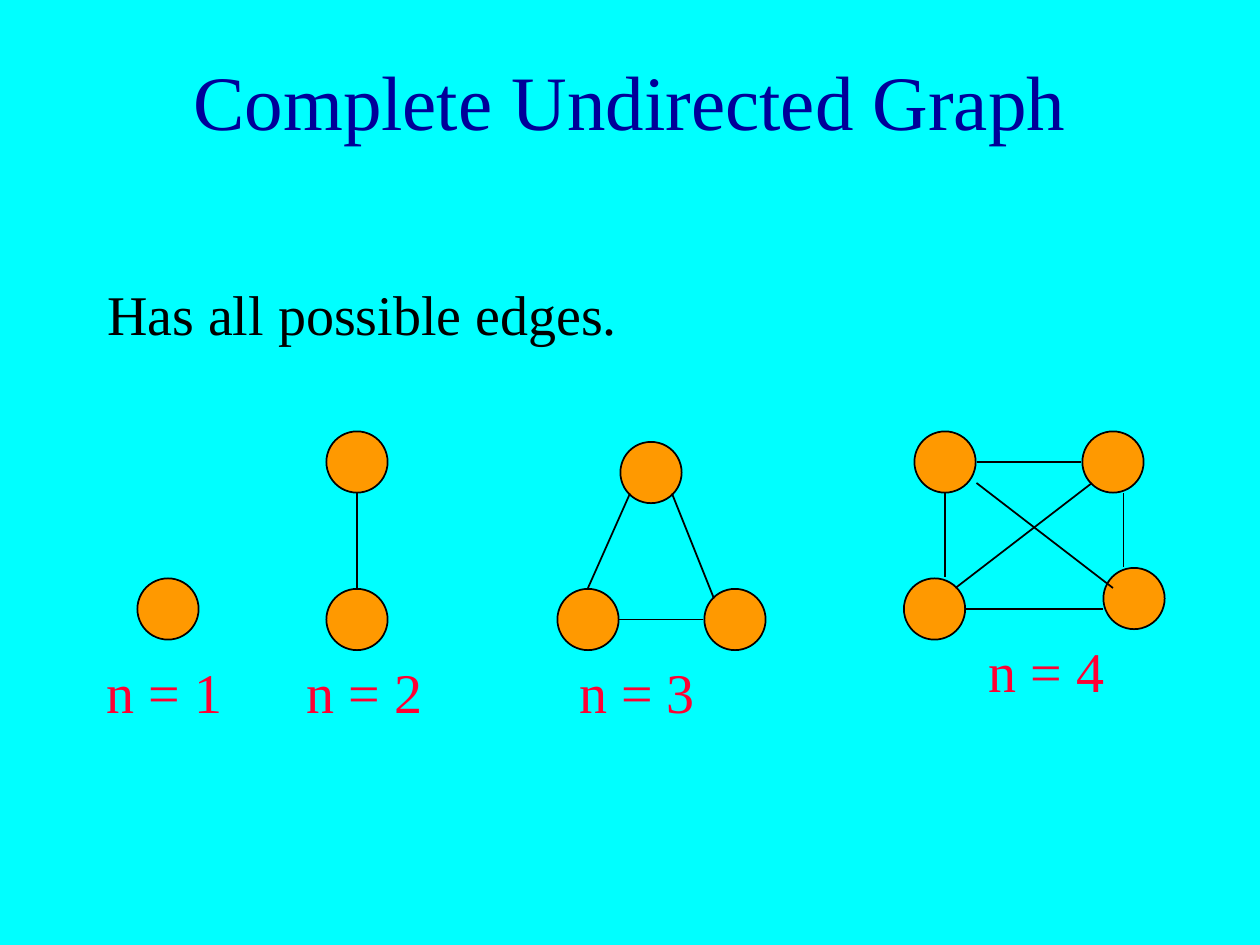
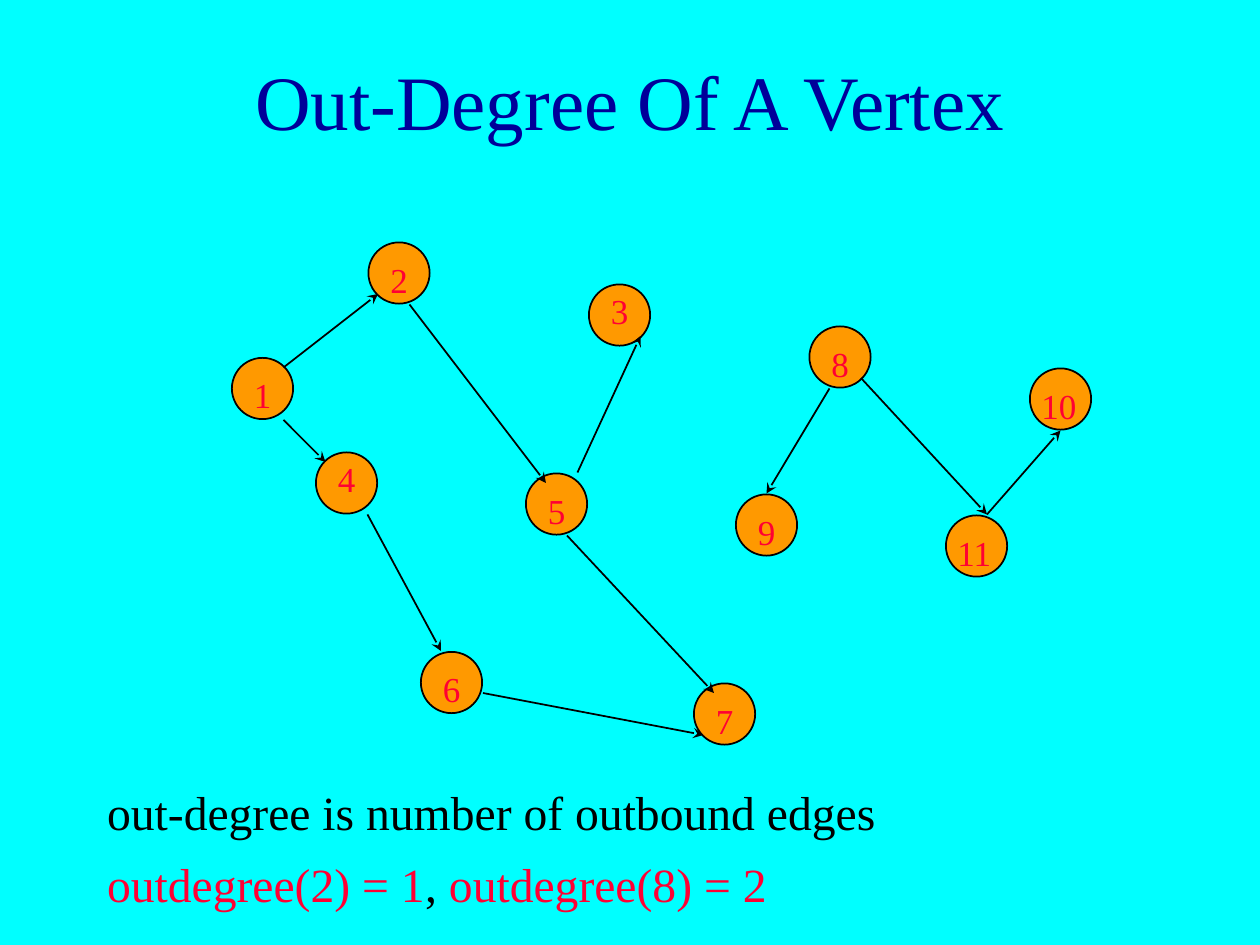
from lxml.etree import SubElement
from pptx import Presentation
from pptx.dml.color import RGBColor
from pptx.enum.shapes import MSO_CONNECTOR, MSO_SHAPE
from pptx.enum.text import MSO_ANCHOR, MSO_AUTO_SIZE, PP_ALIGN
from pptx.oxml.ns import qn
from pptx.util import Pt

CYAN = RGBColor(0x00, 0xFF, 0xFF)
NAVY = RGBColor(0x00, 0x00, 0x99)
BLACK = RGBColor(0x00, 0x00, 0x00)
RED = RGBColor(0xFF, 0x00, 0x33)
ORANGE = RGBColor(0xFF, 0x99, 0x00)
FACE = "Times New Roman"
CELL = 36
INSET = 0.5
TITLE_BOX = (54, 12, 612, 90)

FAMILY = [
    (54, [(24, 84)], [], "n = 1", (0, 126)),
    (168, [(18, 90), (18, 0)], [(36, 36, 36, 90)], "n = 2", (0, 126)),
    (318, [(36, 6), (0, 90), (84, 90)],
     [(66, 36, 90, 96), (42, 36, 18, 90), (36, 108, 84, 108)],
     "n = 3", (6, 126)),
    (516, [(6, 0), (102, 0), (114, 78), (0, 84)],
     [(42, 18, 102, 18), (126, 36, 126, 78), (24, 36, 24, 84),
      (36, 102, 114, 102), (42, 30, 120, 90), (108, 30, 30, 90)],
     "n = 4", (42, 114)),
]

NODES = {
    1: (0, 66), 2: (78, 0), 3: (204, 24), 4: (48, 120), 5: (168, 132),
    6: (108, 234), 7: (264, 252), 8: (330, 48), 9: (288, 144),
    10: (456, 72), 11: (408, 156),
}
ARROWS = [
    (30, 72, 84, 30), (102, 36, 180, 138), (30, 102, 54, 126),
    (78, 156, 120, 234), (144, 258, 270, 282), (198, 132, 234, 54),
    (192, 168, 276, 258), (342, 84, 306, 144), (360, 78, 432, 156),
    (432, 156, 474, 108),
]
RAISED = (3, 4)


def set_font(font, size, color):
    font.name = FACE
    font.size = Pt(size)
    font.color.rgb = color


def place(shape, box):
    shape.left, shape.top, shape.width, shape.height = map(Pt, box)


def add_title(slide, text, box):
    title = slide.shapes.title
    place(title, box)
    frame = title.text_frame
    frame.text = text
    frame.auto_size = MSO_AUTO_SIZE.NONE
    frame.vertical_anchor = MSO_ANCHOR.MIDDLE
    para = frame.paragraphs[0]
    para.alignment = PP_ALIGN.CENTER
    set_font(para.font, 44, NAVY)


def add_body(slide, lines, size, box):
    body = slide.placeholders[1]
    place(body, box)
    frame = body.text_frame
    frame.auto_size = MSO_AUTO_SIZE.NONE
    for i, parts in enumerate(lines):
        para = frame.add_paragraph() if i else frame.paragraphs[0]
        props = para._p.get_or_add_pPr()
        props.set("marL", str(Pt(27)))
        props.set("indent", str(Pt(-27)))
        SubElement(props, qn("a:buNone"))
        para.space_before = Pt(8 if i else 0)
        set_font(para.font, size, BLACK)
        for text, color in parts:
            run = para.add_run()
            run.text = text
            if color != BLACK:
                run.font.color.rgb = color


def add_node(shapes, x, y):
    side = CELL - 2 * INSET
    node = shapes.add_shape(MSO_SHAPE.OVAL, Pt(x + INSET), Pt(y + INSET),
                            Pt(side), Pt(side))
    node.shadow.inherit = False
    node.fill.solid()
    node.fill.fore_color.rgb = ORANGE
    node.line.color.rgb = BLACK
    node.line.width = Pt(1)


def add_edge(shapes, ends, arrow):
    edge = shapes.add_connector(MSO_CONNECTOR.STRAIGHT, *map(Pt, ends))
    edge.line.color.rgb = BLACK
    edge.line.width = Pt(1)
    if arrow:
        SubElement(edge.line._get_or_add_ln(), qn("a:tailEnd"), type="stealth")
    SubElement(edge._element.spPr, qn("a:effectLst"))


def add_label(shapes, text, size, box):
    label = shapes.add_textbox(*map(Pt, box))
    frame = label.text_frame
    frame.word_wrap = True
    frame.text = text
    set_font(frame.paragraphs[0].font, size, RED)


def add_graph(slide, x, y, nodes, edges, arrow=False):
    shapes = slide.shapes.add_group_shape().shapes
    for dx, dy in nodes:
        add_node(shapes, x + dx, y + dy)
    for x1, y1, x2, y2 in edges:
        add_edge(shapes, (x + x1, y + y1, x + x2, y + y2), arrow)
    return shapes


def add_slide(deck, title):
    slide = deck.slides.add_slide(deck.slide_layouts[1])
    add_title(slide, title, TITLE_BOX)
    return slide


def complete_slide(deck):
    slide = add_slide(deck, "Complete Undirected Graph")
    add_body(slide, [[("Has all possible edges.", BLACK)]], 32,
             (54, 156, 612, 60))
    top = 246
    for left, nodes, edges, text, (dx, dy) in FAMILY:
        shapes = add_graph(slide, left, top, nodes, edges)
        add_label(shapes, text, 32, (left + dx, top + dy, 96, 45))


def degree_slide(deck):
    slide = add_slide(deck, "Out-Degree Of A Vertex")
    lines = [
        [("out-degree is number of outbound edges", BLACK)],
        [("outdegree(2) = 1", RED), (", ", BLACK), ("outdegree(8) = 2", RED)],
    ]
    add_body(slide, lines, 27.2, (54, 444, 612, 84))
    left, top = 132, 138
    shapes = add_graph(slide, left, top, NODES.values(), ARROWS, arrow=True)
    for num, (x, y) in NODES.items():
        dx, width = (6, 18) if num < 10 else (0, CELL)
        dy = 0 if num in RAISED else 6
        add_label(shapes, str(num), 20,
                  (left + x + dx, top + y + dy, width, 31))


def main():
    deck = Presentation()
    deck.slide_width, deck.slide_height = Pt(720), Pt(540)
    fill = deck.slide_master.background.fill
    fill.solid()
    fill.fore_color.rgb = CYAN
    complete_slide(deck)
    degree_slide(deck)
    deck.save("out.pptx")


if __name__ == "__main__":
    main()
